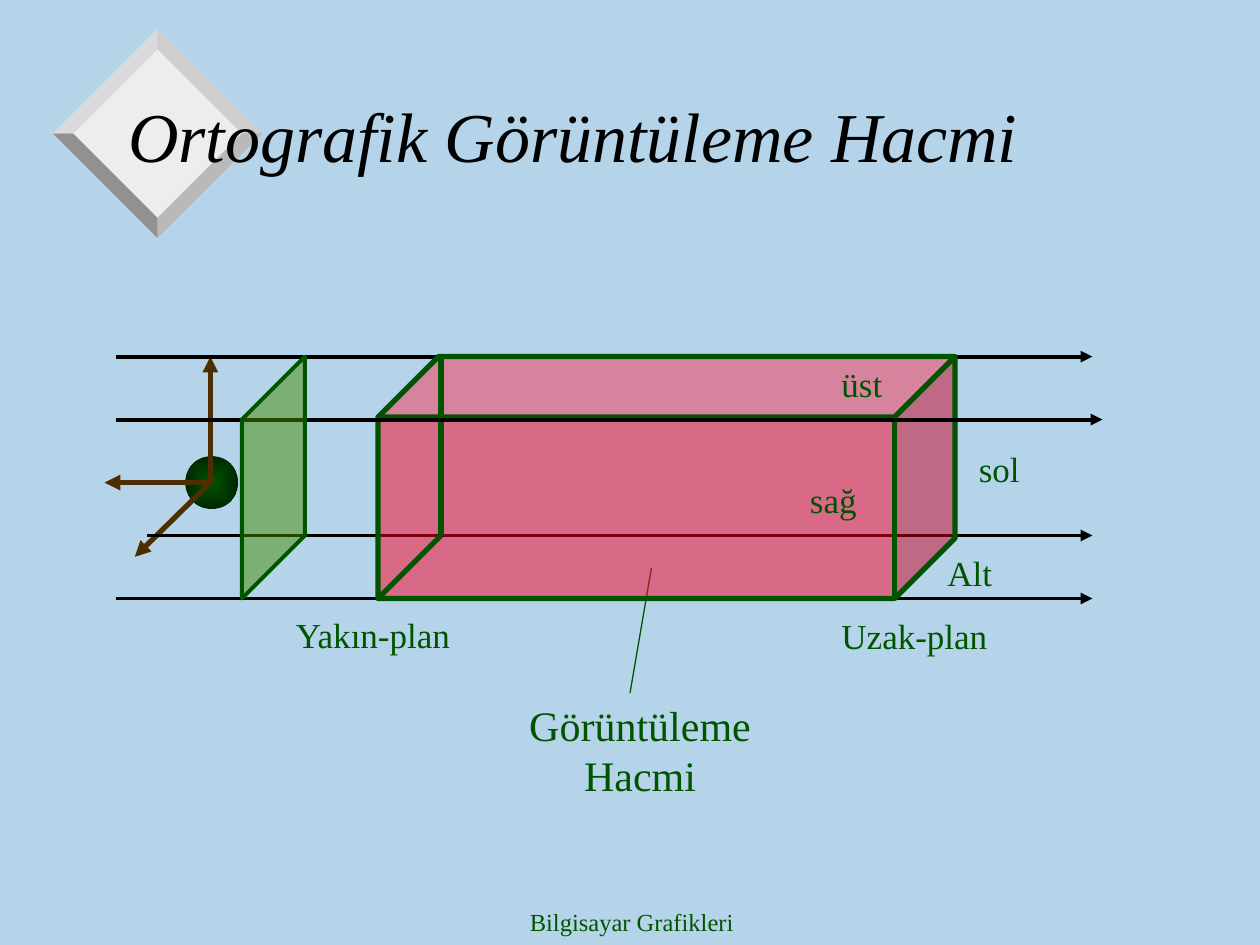
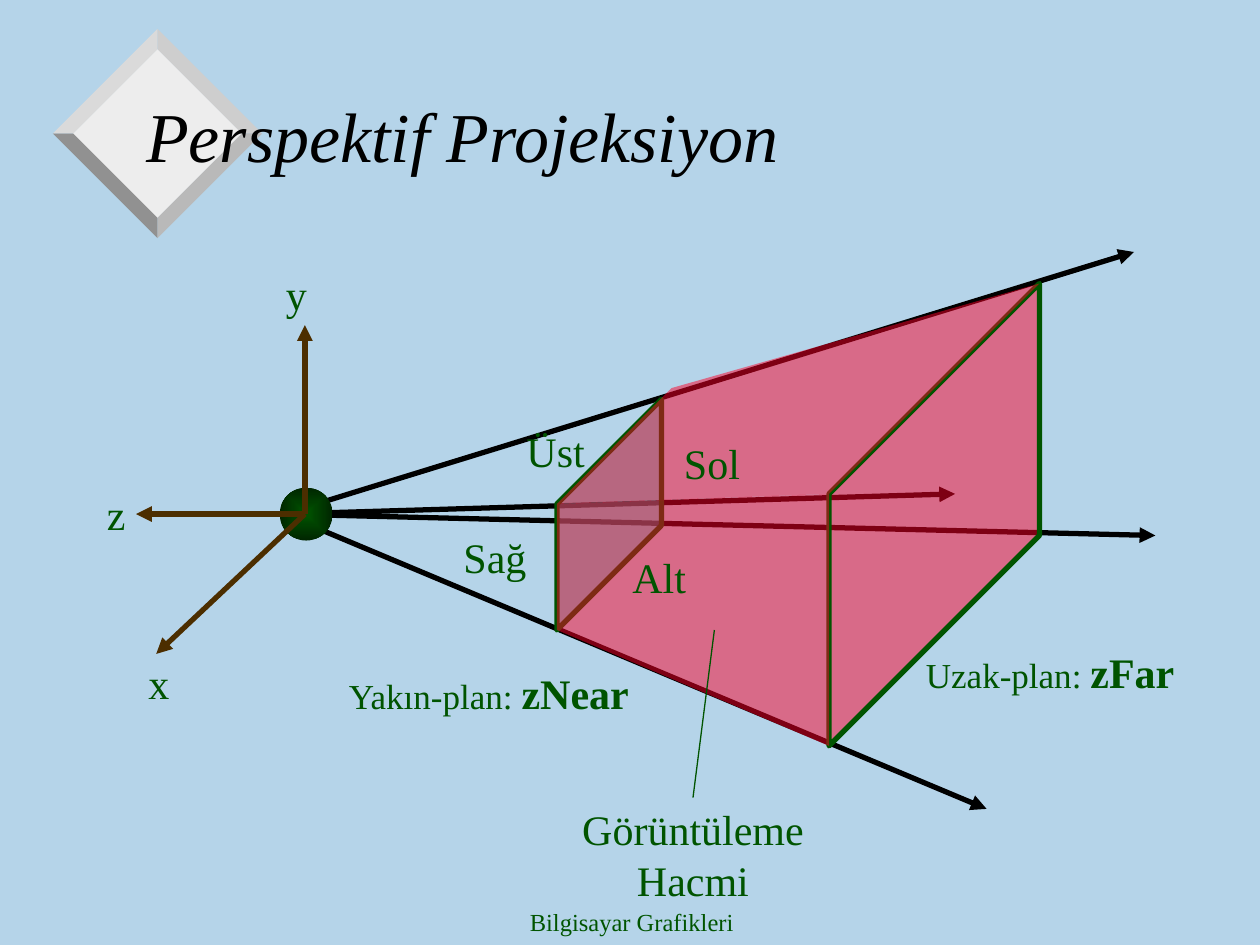
from dataclasses import dataclass
from typing import Any

from lxml.etree import SubElement
from pptx import Presentation
from pptx.dml.color import RGBColor
from pptx.enum.shapes import MSO_CONNECTOR as Connector, MSO_SHAPE as Preset
from pptx.enum.text import MSO_ANCHOR as Anchor, MSO_AUTO_SIZE as AutoSize, PP_ALIGN as Align
from pptx.oxml.ns import qn
from pptx.util import Inches, Pt

FONT = "Times New Roman"
COLORS = {
    "sky": "B5D4E9", "green": "005400", "dark_green": "002600", "brown": "4C2E00",
    "black": "000000", "volume": "FC0128", "near": "33CCCC", "view": "438E00",
    "face": "EDEDED", "upper_right": "CECECE", "lower_right": "B9B9B9",
    "lower_left": "919191", "upper_left": "DADADA",
}
FACETS = ("upper_right", "lower_right", "lower_left", "upper_left")


def rgb(name):
    return RGBColor.from_string(COLORS[name])


def paint(shape, fill=None, line=None, weight=3, opacity=100):
    """Set fill, outline and transparency of a shape."""
    shape.shadow.inherit = False
    if fill:
        shape.fill.solid()
        shape.fill.fore_color.rgb = rgb(fill)
        if opacity < 100:
            color = shape._element.spPr.find(f"{qn('a:solidFill')}/{qn('a:srgbClr')}")
            SubElement(color, qn("a:alpha"), val=str(opacity * 1000))
    if line:
        shape.line.color.rgb = rgb(line)
        shape.line.width = Pt(weight)
    else:
        shape.line.fill.background()


@dataclass
class Region:
    """Part of a page; all positions count in inches from its top left corner."""
    page: Any
    left: float = 0
    top: float = 0

    def at(self, x, y):
        return Inches(self.left + x), Inches(self.top + y)

    def text(self, words, x, y, width, height=0.44, *, size=20, color="green",
             italic=False, align=Align.LEFT, anchor=Anchor.TOP, inset=0.1, strong=None):
        box = self.page.shapes.add_textbox(*self.at(x, y), Inches(width), Inches(height))
        frame = box.text_frame
        frame.word_wrap = True
        frame.auto_size = AutoSize.NONE
        frame.vertical_anchor = anchor
        frame.margin_left = Inches(inset)
        para = frame.paragraphs[0]
        para.alignment = align
        spans = [(words, size, False)]
        if strong:
            spans.append((strong, 24, True))
        for content, points, bold in spans:
            span = para.add_run()
            span.text = content
            span.font.name = FONT
            span.font.size = Pt(points)
            span.font.bold = bold
            span.font.italic = italic
            span.font.color.rgb = rgb(color)

    def line(self, start, end, color="black", weight=3, arrow=True):
        line = self.page.shapes.add_connector(
            Connector.STRAIGHT, *self.at(*start), *self.at(*end))
        line.line.color.rgb = rgb(color)
        line.line.width = Pt(weight)
        if arrow:
            SubElement(line.line._get_or_add_ln(), qn("a:tailEnd"), type="triangle")
        SubElement(line._element.spPr, qn("a:effectLst"))

    def polygon(self, points, **look):
        first, *rest = [self.at(*point) for point in points]
        builder = self.page.shapes.build_freeform(*first, scale=1.0)
        builder.add_line_segments(rest, close=True)
        paint(builder.convert_to_shape(), **look)


# Shared parts

def add_diamond(region):
    """Bevelled diamond, centred on the region's corner."""
    def corners(reach):
        return [(0, -reach), (reach, 0), (0, reach), (-reach, 0)]

    inner, outer = corners(0.67), corners(0.83)
    region.polygon(inner, fill="face")
    for i, facet in enumerate(FACETS):
        j = (i + 1) % 4
        region.polygon([inner[i], outer[i], outer[j], inner[j]], fill=facet)


def add_page(deck, title, inset=0.1):
    page = deck.slides.add_slide(deck.slide_layouts[6])
    page.background.fill.solid()
    page.background.fill.fore_color.rgb = rgb("sky")
    add_diamond(Region(page, 1.25, 1.06))
    whole = Region(page)
    whole.text("Bilgisayar Grafikleri", 3.43, 7.15, 3.17, 0.35, size=14, align=Align.CENTER)
    whole.text(title, 0.92, 0.46, 8.5, 1.21, size=40, color="black", italic=True,
               anchor=Anchor.MIDDLE, inset=inset)
    return page


def add_eye(region, tips):
    """Eye ball with its axes, centred on the region's corner."""
    ball = region.page.shapes.add_shape(
        Preset.OVAL, *region.at(-0.2, -0.21), Inches(0.42), Inches(0.42))
    paint(ball)
    ball.fill.gradient()
    for stop, color in zip(ball.fill.gradient_stops, ("green", "dark_green")):
        stop.color.rgb = rgb(color)
    gradient = ball._element.spPr.find(qn("a:gradFill"))
    gradient.remove(gradient.find(qn("a:lin")))
    radial = SubElement(gradient, qn("a:path"), path="rect")
    SubElement(radial, qn("a:fillToRect"), {side: "50000" for side in "ltrb"})
    for tip in tips:
        region.line((0, 0), tip, "brown")


def add_volume_caption(region, pointer_top):
    """Caption of the viewing volume with its pointer line."""
    region.text("Görüntüleme Hacmi", 0, 0, 2.5, 0.9, size=24, align=Align.CENTER)
    region.line(pointer_top, (1.17 if pointer_top[0] < 1.4 else 1.25, 0),
                "green", 0.75, arrow=False)


# Diagrams

def draw_orthographic(page, left, top):
    region = Region(page, left, top)
    back_bottom, front_top, bottom = 1.42, 0.5, 1.92
    add_eye(Region(page, left + 0.84, top + 1), [(0, -1), (-0.6, 0.59), (-0.84, 0)])

    # Rays behind the volume
    for x, y in ((0.09, 0), (0.34, back_bottom), (0.09, bottom)):
        region.line((x, y), (7.84, y), weight=2.25)

    region.text("Yakın-plan", 1.42, 1.99, 1.58)
    region.text("Uzak-plan", 5.75, 2, 1.67)
    add_volume_caption(Region(page, left + 3, top + 2.67), (1.34, -0.99))

    # Viewing volume and its hidden edges
    cube = page.shapes.add_shape(
        Preset.CUBE, *region.at(2.17, 0), Inches(4.58), Inches(bottom))
    cube.adjustments[0] = 0.25
    paint(cube, fill="volume", line="green", opacity=50)
    corner = (2.67, back_bottom)
    for start, end in (((2.67, 0), corner), (corner, (2.17, bottom))):
        region.line(start, end, "green", arrow=False)

    # Front ray and view plane
    region.line((0.09, front_top), (7.92, front_top), weight=2.25)
    region.polygon([(1.59, 0), (1.09, front_top), (1.09, bottom), (1.59, back_bottom)],
                   fill="view", line="green", weight=2.25, opacity=50)

    for words, x, y, width in (("sol", 6.84, 0.67, 0.67), ("sağ", 5.5, 0.92, 0.75),
                               ("üst", 5.75, 0, 0.67), ("Alt", 6.59, 1.5, 1.17)):
        region.text(words, x, y, width)


def draw_perspective(page, left, top):
    region = Region(page, left, top)
    region.text("Uzak-plan: ", 6.5, 3.08, 2.58, 0.5, strong="zFar")

    # Rays from the eye
    for tip in ((8.25, 0), (8.42, 2.25), (7.08, 4.42), (6.83, 1.92)):
        region.line((1.5, 2.08), tip)

    # Planes, each from lower front corner round to lower back corner
    near = [(3.67, 3), (3.67, 2), (4.5, 1.17), (4.5, 2.17)]
    far = [(5.83, 3.92), (5.83, 1.92), (7.5, 0.25), (7.5, 2.25)]
    region.polygon(near, fill="near", line="green", opacity=50)
    region.polygon(far, fill="volume", line="green", opacity=50)
    region.text("Yakın-plan: ", 1.92, 3.25, 2.75, 0.5, strong="zNear")

    # Top and side of the volume
    region.polygon([near[1], (4.58, 1.08), far[2], far[1]], fill="volume", opacity=50)
    region.polygon([near[1], near[0], far[0], far[1]], fill="volume", opacity=50)
    add_volume_caption(Region(page, left + 3.5, top + 4.33), (1.42, -1.33))

    add_eye(Region(page, left + 1.67, top + 2.08), [(0, -1.5), (-1.18, 1.11), (-1.34, 0)])
    for words, x, y, width in (
            ("Üst", 3.33, 1.33, 0.67), ("Sol", 4.58, 1.42, 0.75),
            ("Sağ", 2.83, 2.17, 1.08), ("Alt", 4.17, 2.33, 1.42),
            ("x", 0.33, 3.17, 0.42), ("y", 1.42, 0.08, 0.42), ("z", 0, 1.83, 0.42)):
        region.text(words, x, y, width, 0.5, size=24)


def main():
    deck = Presentation()
    deck.slide_width, deck.slide_height = Inches(10), Inches(7.5)
    draw_orthographic(add_page(deck, "Ortografik Görüntüleme Hacmi"), 0.83, 2.83)
    draw_perspective(add_page(deck, "Perspektif Projeksiyon", inset=0.24), 0.75, 2)
    deck.save("out.pptx")


if __name__ == "__main__":
    main()
